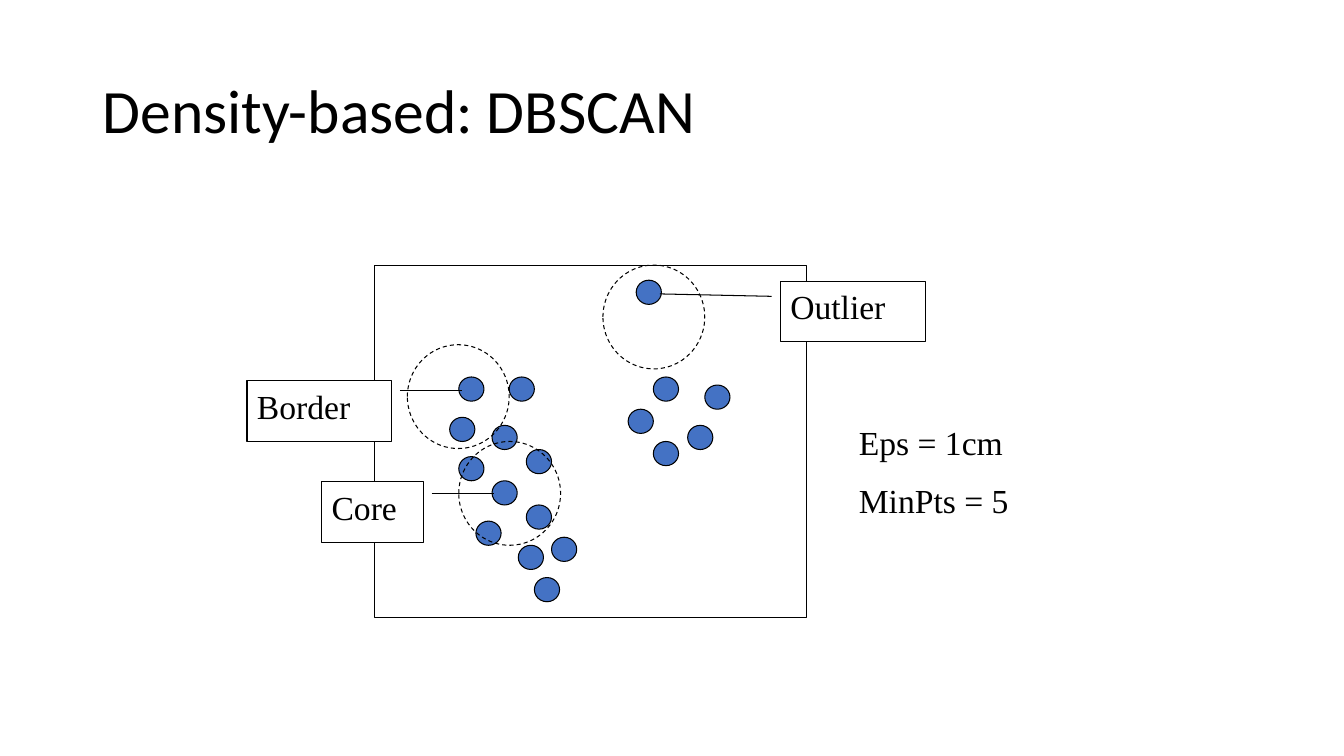
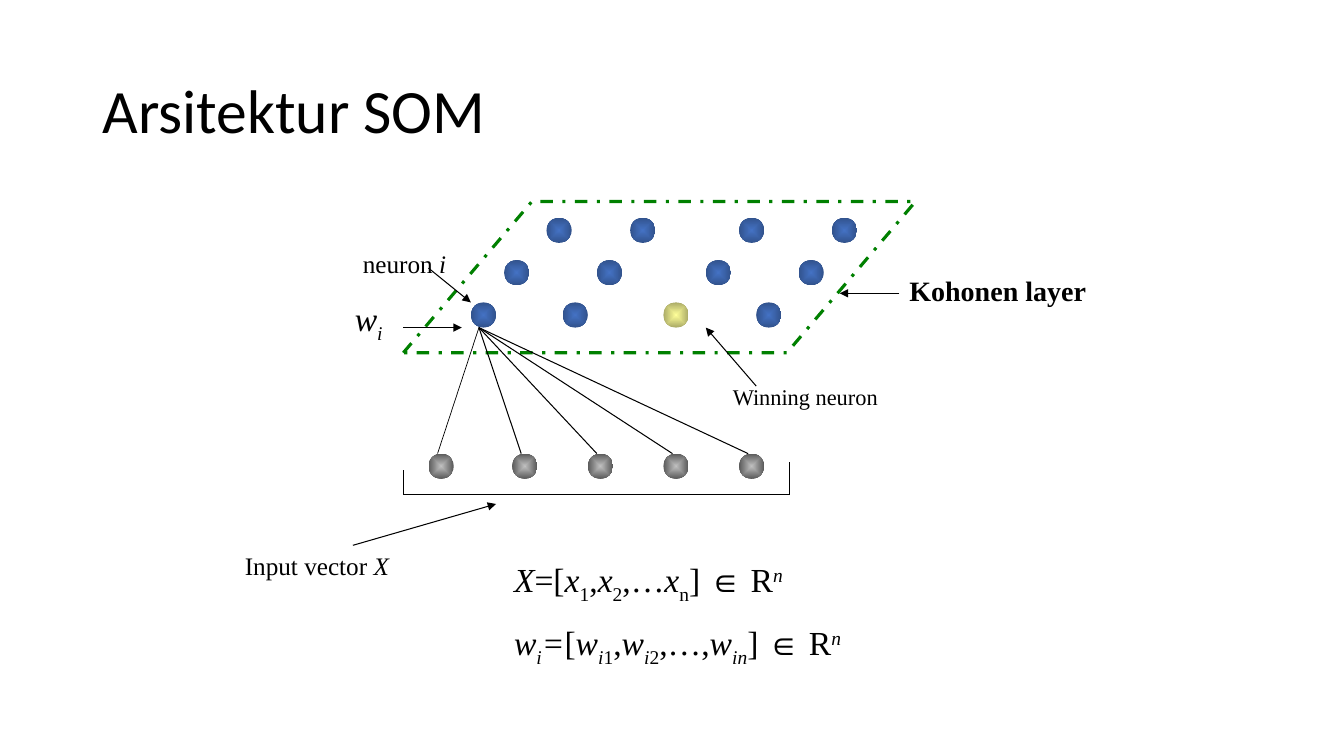
from lxml import etree
from pptx import Presentation
from pptx import util as u
from pptx.dml.color import RGBColor
from pptx.enum import dml, shapes, text
from pptx.oxml import parse_xml
from pptx.oxml.ns import nsdecls, qn

SCALE = 9144
BLACK, WHITE, BLUE, GREEN = "000000", "FFFFFF", "4472C4", "008000"
NEURON = (BLUE, "31528C")
WINNER = ("FFFF99", "AAAA66")
INPUT = ("C0C0C0", "595959")
SERIF, SANS = "Times New Roman", "Calibri"
KIND = shapes.MSO_SHAPE
DASH = dml.MSO_LINE


def px(n):
    """Turn px into EMU."""
    return u.Emu(n * SCALE)


def color(code):
    """Turn a hex string into a colour."""
    return RGBColor.from_string(code)


def write(frame, *paras, size=24, font=SERIF, anchor=text.MSO_ANCHOR.TOP,
          before=50, spacing=None):
    """Fill a frame; runs are (words, marks), marks: b bold, i italic, _ sub, ^ super."""
    frame.word_wrap = True
    frame.vertical_anchor = anchor
    for k, runs in enumerate(paras):
        para = frame.paragraphs[0] if k == 0 else frame.add_paragraph()
        para.alignment = text.PP_ALIGN.LEFT
        if spacing:
            para.line_spacing = spacing
        if before:
            gap = etree.SubElement(para._p.get_or_add_pPr(), qn("a:spcBef"))
            etree.SubElement(gap, qn("a:spcPct")).set("val", str(before * 1000))
        for words, marks in runs:
            run = para.add_run()
            run.text = words
            run.font.size = u.Pt(size)
            run.font.name = font
            run.font.color.rgb = color(BLACK)
            run.font.bold = "b" in marks
            run.font.italic = "i" in marks
            for mark, base in (("_", "-25000"), ("^", "30000")):
                if mark in marks:
                    run.font._element.set("baseline", base)


def label(slide, box, *paras, **form):
    """Add a text box."""
    write(slide.shapes.add_textbox(*map(px, box)).text_frame, *paras, **form)


def shape(slide, kind, box, fill=None, line=BLACK, width=0.75, dash=None, adjust=()):
    """Add a preset shape; a pair of colours as fill gives a gradient."""
    item = slide.shapes.add_shape(kind, *map(px, box))
    item.shadow.inherit = False
    for k, value in enumerate(adjust):
        item.adjustments[k] = value
    if isinstance(fill, str):
        item.fill.solid()
        item.fill.fore_color.rgb = color(fill)
    else:
        item.fill.background()
    if isinstance(fill, tuple):
        blank = item._element.spPr.find(qn("a:noFill"))
        blank.getparent().replace(blank, blend(*fill))
    if line:
        item.line.color.rgb = color(line)
        item.line.width = u.Pt(width)
        item.line.dash_style = dash
    else:
        item.line.fill.background()
    return item


def blend(inner, outer):
    """Make a gradient that runs from the centre outwards."""
    return parse_xml(
        f'<a:gradFill rotWithShape="1" {nsdecls("a")}><a:gsLst>'
        f'<a:gs pos="0"><a:srgbClr val="{inner}"/></a:gs>'
        f'<a:gs pos="100000"><a:srgbClr val="{outer}"/></a:gs></a:gsLst>'
        '<a:path path="shape"><a:fillToRect l="50000" t="50000" r="50000" b="50000"/>'
        '</a:path></a:gradFill>')


def line(slide, start, end, width=0.75, arrow=False):
    """Add a straight line, with an arrowhead at its end if asked."""
    item = slide.shapes.add_connector(
        shapes.MSO_CONNECTOR.STRAIGHT, *map(px, (*start, *end)))
    item.line.color.rgb = color(BLACK)
    item.line.width = u.Pt(width)
    if arrow:
        etree.SubElement(item.line._get_or_add_ln(), qn("a:tailEnd")).set("type", "triangle")
    etree.SubElement(item._element.spPr, qn("a:effectLst"))


def page(deck, title):
    """Add a blank slide with its title."""
    slide = deck.slides.add_slide(deck.slide_layouts[6])
    label(slide, (92, 40, 1150, 145), [(title, "")], size=44, font=SANS,
          anchor=text.MSO_ANCHOR.MIDDLE, before=0, spacing=0.9)
    return slide


def scatter(slide, x, y, w, h):
    """Draw the points, their reach and the callouts."""
    dots = [(84, 111), (75, 151), (117, 159), (134, 111), (151, 183), (84, 190),
            (117, 214), (101, 254), (143, 278), (159, 310), (151, 238), (176, 270),
            (260, 15), (277, 111), (252, 143), (311, 159), (328, 119), (277, 175)]
    for dx, dy in dots:
        shape(slide, KIND.OVAL, (x + dx, y + dy, 25, 24), BLUE)
    shape(slide, KIND.RECTANGLE, (x, y, w, h))
    for dx, dy in [(33, 79), (84, 175), (227, 0)]:
        shape(slide, KIND.OVAL, (x + dx, y + dy, 101, 103), dash=DASH.DASH)
    notes = [("Core", -52, 215, 101, (0.19, 1.08, 0.19, 1.69)),
             ("Border", -126, 115, 143, (0.15, 1.06, 0.15, 1.49)),
             ("Outlier", 403, 16, 144, (0.25, -0.06, 0.21, -0.83))]
    for name, dx, dy, wide, adjust in notes:
        note = shape(slide, KIND.LINE_CALLOUT_1, (x + dx, y + dy, wide, 60), WHITE,
                     adjust=adjust)
        write(note.text_frame, [(name, "")], before=0)
    label(slide, (x + w + 42, y + 151, 210, 128), [("Eps = 1cm", "")], [("MinPts = 5", "")])


def layer(slide, x, y, w, h):
    """Draw the Kohonen layer with its labels."""
    shape(slide, KIND.PARALLELOGRAM, (x, y, w, h), line=GREEN, width=2.25,
          dash=DASH.DASH_DOT, adjust=[0.85])
    rows = [(142, 225, 333, 425), (100, 192, 300, 392), (67, 158, 258, 350)]
    for r, row in enumerate(rows):
        for c, dx in enumerate(row):
            fill = WINNER if (r, c) == (2, 2) else NEURON
            shape(slide, KIND.OVAL, (x + dx, y + 16 + 42 * r, 25, 25), fill, line=None)
    label(slide, (x - 50, y + 41, 125, 40), [("neuron ", ""), ("i", "i")], size=18)
    label(slide, (x - 58, y + 91, 108, 50), [("w", "i"), ("i", "i_")])
    label(slide, (x + 317, y + 175, 258, 37), [("Winning neuron", "")], size=16)
    label(slide, (x + 492, y + 66, 208, 43), [("Kohonen layer", "b")], size=20)
    for ax, ay, bx, by in [(25, 66, 67, 100), (0, 125, 58, 125),
                           (350, 183, 300, 125), (492, 91, 433, 91)]:
        line(slide, (x + ax, y + ay), (x + bx, y + by), arrow=True)


def entry(slide, x, y, w, h, hub):
    """Draw the input vector, its bracket and the links to the hub."""
    for k, dx in enumerate((25, 108, 183, 258, 333)):
        shape(slide, KIND.OVAL, (x + dx, y, 25, 25), INPUT, line=None)
        line(slide, (x + dx + 9, y), hub, width=0.75 if k else 0.5)
    base = y + h
    line(slide, (x, base), (x + w, base))
    line(slide, (x, base), (x, base - 25))
    line(slide, (x + w, base), (x + w, base - 33))
    line(slide, (x - 50, base + 50), (x + 92, base + 9), arrow=True)
    label(slide, (x - 167, base + 50, 258, 40), [("Input vector", ""), (" X", "i")], size=18)


def maths(slide, box):
    """Write the two vector definitions."""
    tail = [("] ∈ R", ""), ("n", "i^")]
    label(slide, box,
          [("X", "i"), ("=[", ""), ("x", "i"), ("1", "_"), (",", ""), ("x", "i"),
           ("2", "_"), (",…", ""), ("x", "i"), ("n", "_"), *tail],
          [("w", "i"), ("i", "i_"), ("=", "i"), ("[", ""), ("w", "i"), ("i", "i_"),
           ("1", "_"), (",", ""), ("w", "i"), ("i", "i_"), ("2", "_"), (",…,", ""),
           ("w", "i"), ("in", "i_"), *tail])


def main():
    """Build and save the deck."""
    deck = Presentation()
    deck.slide_width, deck.slide_height = px(1333), px(750)
    scatter(page(deck, "Density-based: DBSCAN"), 371, 263, 429, 350)
    slide = page(deck, "Arsitektur SOM")
    layer(slide, 400, 200, 508, 150)
    entry(slide, 400, 450, 383, 41, (475, 325))
    maths(slide, (500, 550, 400, 110))
    deck.save("out.pptx")


if __name__ == "__main__":
    main()
